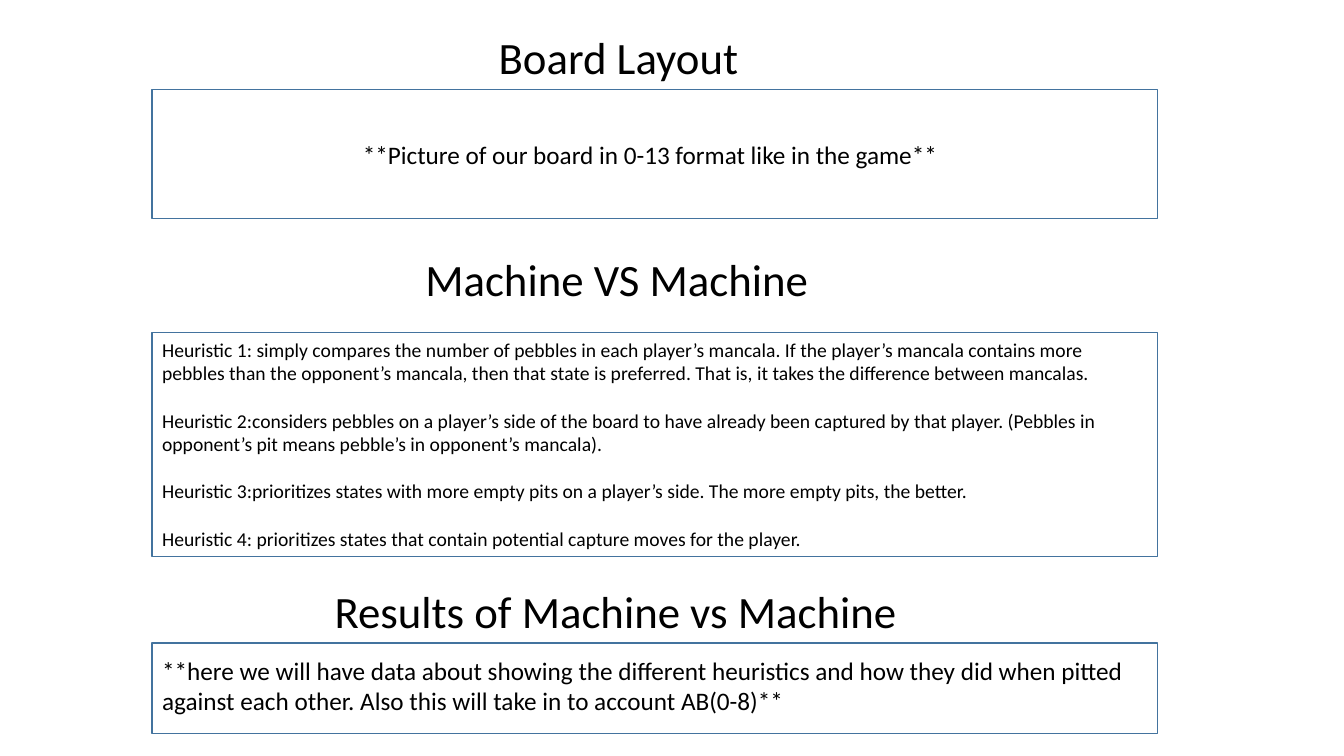
"""Build the slide on the mancala board layout and the machine matches."""
import pptx
import pptx.dml.color
import pptx.enum.shapes
import pptx.enum.text
import pptx.util

PX = 9144
COLORS = {"text": "000000", "frame": "43739E"}
FRAME_LEFT, FRAME_WIDTH = 151, 997
HEADING_SIZE, BODY_SIZE, HEURISTIC_SIZE = 32, 18, 14
ALIGN = pptx.enum.text.PP_ALIGN


def write_text(shape, text, size, wrap=True, align=ALIGN.LEFT, gap=0):
    frame = shape.text_frame
    frame.text = text
    frame.word_wrap = wrap
    frame.auto_size = pptx.enum.text.MSO_AUTO_SIZE.SHAPE_TO_FIT_TEXT
    frame.vertical_anchor = pptx.enum.text.MSO_ANCHOR.TOP
    for index, paragraph in enumerate(frame.paragraphs):
        paragraph.alignment = align
        paragraph.space_before = pptx.util.Pt(gap if index else 0)
        paragraph.font.name = "Calibri"
        paragraph.font.size = pptx.util.Pt(size)
        paragraph.font.color.rgb = pptx.dml.color.RGBColor.from_string(COLORS["text"])


presentation = pptx.Presentation()
presentation.slide_width = 1333 * PX
presentation.slide_height = 750 * PX
slide = presentation.slides.add_slide(presentation.slide_layouts[5])

title = slide.shapes.title
title.left, title.top, title.width, title.height = 442 * PX, 24 * PX, 343 * PX, 64 * PX
write_text(title, "Board Layout", HEADING_SIZE, align=ALIGN.CENTER)

for top, height in [(89, 128), (330, 222), (638, 90)]:
    frame_box = slide.shapes.add_shape(
        pptx.enum.shapes.MSO_SHAPE.RECTANGLE,
        FRAME_LEFT * PX, top * PX, FRAME_WIDTH * PX, height * PX)
    frame_box.shadow.inherit = False
    frame_box.fill.background()
    frame_box.line.color.rgb = pptx.dml.color.RGBColor.from_string(COLORS["frame"])
    frame_box.line.width = pptx.util.Pt(1)

heuristics = "\n".join([
    "Heuristic 1: simply compares the number of pebbles in each player’s mancala. "
    "If the player’s mancala contains more pebbles than the opponent’s mancala, "
    "then that state is preferred. That is, it takes the difference between mancalas.",
    "Heuristic 2:considers pebbles on a player’s side of the board to have already been "
    "captured by that player. (Pebbles in opponent’s pit means pebble’s in opponent’s mancala).",
    "Heuristic 3:prioritizes states with more empty pits on a player’s side. "
    "The more empty pits, the better.",
    "Heuristic 4: prioritizes states that contain potential capture moves for the player.",
])
results = ("**here we will have data about showing the different heuristics and how they did "
           "when pitted against each other. Also this will take in to account AB(0-8)**")

text_boxes = [
    (350, 133, 597, 40, "**Picture of our board in 0-13 format like in the game**",
     {"size": BODY_SIZE, "wrap": False}),
    (412, 245, 404, 64, "Machine VS Machine", {"size": HEADING_SIZE, "wrap": False}),
    (FRAME_LEFT, 330, FRAME_WIDTH, 222, heuristics, {"size": HEURISTIC_SIZE, "gap": 17}),
    (322, 574, 584, 64, "Results of Machine vs Machine",
     {"size": HEADING_SIZE, "wrap": False}),
    (FRAME_LEFT, 645, FRAME_WIDTH, 71, results, {"size": BODY_SIZE}),
]
for left, top, width, height, text, text_format in text_boxes:
    text_box = slide.shapes.add_textbox(left * PX, top * PX, width * PX, height * PX)
    write_text(text_box, text, **text_format)

presentation.save("out.pptx")
